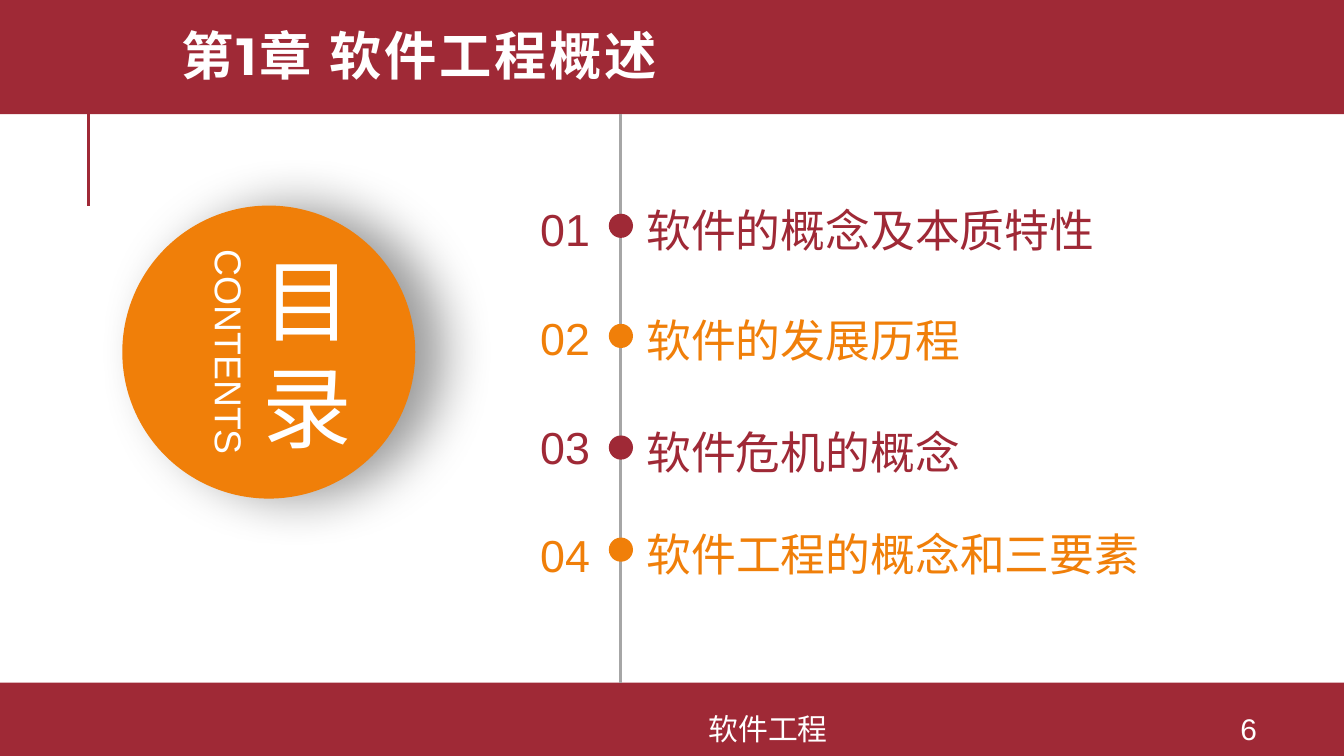
"""Build the contents slide of a software engineering chapter."""
from dataclasses import dataclass

from lxml.etree import SubElement
from pptx import Presentation
from pptx.dml.color import RGBColor
from pptx.enum.shapes import MSO_CONNECTOR, MSO_SHAPE
from pptx.enum.text import MSO_ANCHOR, MSO_AUTO_SIZE, PP_ALIGN
from pptx.oxml.ns import qn
from pptx.util import Inches, Pt


@dataclass(frozen=True)
class Theme:
    red: str = "9F2936"
    orange: str = "F07F09"
    grey: str = "A6A6A6"
    white: str = "FFFFFF"
    body_font: str = "Arial"
    title_font: str = "Montserrat"
    title: int = 28
    emblem: int = 48
    contents: int = 20
    item: int = 24
    footer: int = 16


theme = Theme()
presentation = Presentation()
presentation.slide_width = Inches(10)
presentation.slide_height = Inches(10) * 9 // 16
slide = presentation.slides.add_slide(presentation.slide_layouts[5])
shapes = slide.shapes


def add_filled(preset, left, top, width, height, color):
    filled = shapes.add_shape(preset, Inches(left), Inches(top), Inches(width), Inches(height))
    filled.shadow.inherit = False
    filled.fill.solid()
    filled.fill.fore_color.rgb = RGBColor.from_string(color)
    filled.line.fill.background()
    return filled


def write_text(text, *, at, size, color=theme.white, font=theme.body_font, holder=None,
               align=PP_ALIGN.LEFT, anchor=MSO_ANCHOR.TOP, inset=True, bold=False,
               tracking=0, line_spacing=None, rotation=0):
    left, top, width, height = map(Inches, at)
    holder = holder or shapes.add_textbox(left, top, width, height)
    holder.left, holder.top, holder.width, holder.height = left, top, width, height
    holder.rotation = rotation
    frame = holder.text_frame
    frame.word_wrap = True
    frame.auto_size = MSO_AUTO_SIZE.NONE
    frame.vertical_anchor = anchor
    if not inset:
        frame.margin_left = frame.margin_right = frame.margin_top = frame.margin_bottom = 0
    frame.text = text
    for paragraph in frame.paragraphs:
        paragraph.alignment = align
        paragraph.line_spacing = line_spacing
        for run in paragraph.runs:
            run.font.name = font
            run.font.size = Pt(size)
            run.font.bold = bold
            run.font.color.rgb = RGBColor.from_string(color)
            if tracking:
                run._r.get_or_add_rPr().set("spc", str(int(tracking * 100)))


for top, height in ((-0.03, 0.88), (5.08, 0.55)):
    add_filled(MSO_SHAPE.RECTANGLE, 0, top, 10, height, theme.red)

for x, start, end, color in ((0.66, 1.53, 0.78, theme.red), (4.62, 0.85, 5.08, theme.grey)):
    rule = shapes.add_connector(MSO_CONNECTOR.STRAIGHT, Inches(x), Inches(start), Inches(x), Inches(end))
    rule.line.color.rgb = RGBColor.from_string(color)
    rule.line.width = Pt(1.5)
    SubElement(rule._element.spPr, qn("a:effectLst"))

emblem = add_filled(MSO_SHAPE.OVAL, 0.91, 1.53, 2.18, 2.18, theme.orange)
shadow = SubElement(emblem._element.spPr.find(qn("a:effectLst")), qn("a:outerShdw"),
                    blurRad=str(Pt(28)), dist=str(Pt(15)), dir="0", algn="l", rotWithShape="0")
shadow_color = SubElement(shadow, qn("a:srgbClr"), val="000000")
SubElement(shadow_color, qn("a:alpha"), val="40000")
write_text("目\n录", at=(1.58, 1.61, 1.41, 2.02), size=theme.emblem, align=PP_ALIGN.CENTER,
           anchor=MSO_ANCHOR.MIDDLE, inset=False, tracking=6)
write_text("CONTENTS", at=(0.65, 2.4, 2.11, 0.44), size=theme.contents,
           align=PP_ALIGN.CENTER, rotation=90)

for footer, left, width in (("软件工程", 2.61, 6.21), ("6", 8.89, 0.8)):
    write_text(footer, at=(left, 5.31, width, 0.23), size=theme.footer,
               align=PP_ALIGN.CENTER, anchor=MSO_ANCHOR.MIDDLE)

chapter_items = (
    ("软件的概念及本质特性", 1.59, 3.37),
    ("软件的发展历程", 2.41, 3.37),
    ("软件危机的概念", 3.24, 3.37),
    ("软件工程的概念和三要素", 4, 4.01),
)
for index, (item, dot_top, item_width) in enumerate(chapter_items):
    color = (theme.red, theme.orange)[index % 2]
    add_filled(MSO_SHAPE.OVAL, 4.53, dot_top, 0.18, 0.18, color)
    write_text(f"{index + 1:02}", at=(3.8, 1.5 + 0.81 * index, 0.59, 0.4), size=theme.item,
               color=color, align=PP_ALIGN.RIGHT, inset=False)
    write_text(item, at=(4.81, dot_top - 0.08, item_width, 0.4), size=theme.item,
               color=color, inset=False)

write_text("第1章 软件工程概述", holder=shapes.title, at=(1.25, 0.09, 8.26, 0.72),
           size=theme.title, font=theme.title_font, anchor=MSO_ANCHOR.MIDDLE, bold=True,
           tracking=1.5, line_spacing=0.8)
shapes._spTree.append(shapes.title._element)

presentation.save("out.pptx")
